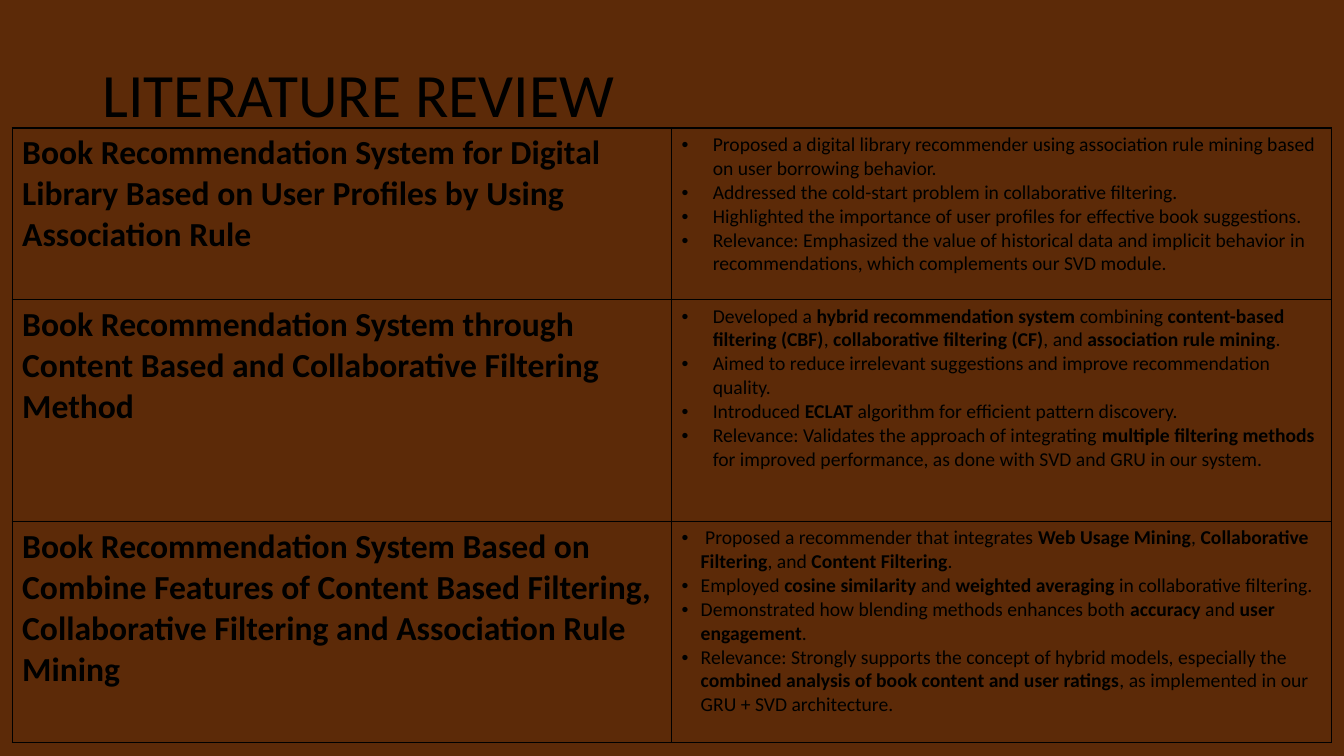
import pptx
import pptx.util
import pptx.dml.color
import pptx.oxml.ns
import lxml.etree

Inches = pptx.util.Inches
Pt = pptx.util.Pt
BROWN = pptx.dml.color.RGBColor(0x5C, 0x2A, 0x08)
BLACK = pptx.dml.color.RGBColor(0, 0, 0)
FONT = "Calibri"

TITLE = "LITERATURE REVIEW"
PAPERS = [
    ("Book Recommendation System for Digital Library Based on User Profiles by Using Association Rule",
     1.7, 0.31, [
         "Proposed a digital library recommender using association rule mining based on user borrowing behavior.",
         "Addressed the cold-start problem in collaborative filtering.",
         "Highlighted the importance of user profiles for effective book suggestions.",
         "Relevance: Emphasized the value of historical data and implicit behavior in recommendations, "
         "which complements our SVD module.",
     ]),
    ("Book Recommendation System through Content Based and Collaborative Filtering Method",
     2.2, 0.31, [
         "Developed a **hybrid recommendation system** combining **content-based filtering (CBF)**, "
         "**collaborative filtering (CF)**, and **association rule mining**.",
         "Aimed to reduce irrelevant suggestions and improve recommendation quality.",
         "Introduced **ECLAT** algorithm for efficient pattern discovery.",
         "Relevance: Validates the approach of integrating **multiple filtering methods** for improved "
         "performance, as done with SVD and GRU in our system.",
     ]),
    ("Book Recommendation System Based on Combine Features of Content Based Filtering, "
     "Collaborative Filtering and Association Rule Mining",
     2.2, 0.19, [
         " Proposed a recommender that integrates **Web Usage Mining**, **Collaborative Filtering**, "
         "and **Content Filtering**.",
         "Employed **cosine similarity** and **weighted averaging** in collaborative filtering.",
         "Demonstrated how blending methods enhances both **accuracy** and **user engagement**.",
         "Relevance: Strongly supports the concept of hybrid models, especially "
         "the **combined analysis of book content and user ratings**, as implemented in our GRU + SVD architecture.",
     ]),
]
COLS = [6.54, 6.55]


def style(para, size, bold=None):
    font = para.font
    font.name, font.size, font.bold = FONT, Pt(size), bold
    font.color.rgb = BLACK


def add(parent, tag, **attrs):
    return lxml.etree.SubElement(parent, pptx.oxml.ns.qn(tag), attrs)


def bullet(para, indent):
    props = para._p.get_or_add_pPr()
    props.set("marL", str(Inches(indent)))
    props.set("indent", str(-Inches(indent)))
    add(props, "a:buFont", typeface="Arial")
    add(props, "a:buChar", char="•")


def write(para, text):
    for i, part in enumerate(text.split("**")):
        if part:
            run = para.add_run()
            run.text = part
            run.font.bold = i % 2 == 1


def frame(cell):
    props = cell._tc.get_or_add_tcPr()
    for side in ("a:lnL", "a:lnR", "a:lnT", "a:lnB"):
        line = add(props, side, w=str(Pt(1)))
        add(add(line, "a:solidFill"), "a:srgbClr", val=str(BLACK))
    cell.fill.background()


def main():
    deck = pptx.Presentation()
    deck.slide_width, deck.slide_height = Inches(13.33), Inches(7.5)
    slide = deck.slides.add_slide(deck.slide_layouts[6])
    slide.background.fill.solid()
    slide.background.fill.fore_color.rgb = BROWN

    box = slide.shapes.add_textbox(Inches(0.92), Inches(0.51), Inches(5.6), Inches(0.84))
    box.text_frame.word_wrap = True
    head = box.text_frame.paragraphs[0]
    head.text = TITLE
    style(head, 44)

    high = sum(paper[1] for paper in PAPERS)
    grid = slide.shapes.add_table(len(PAPERS), len(COLS), Inches(0.12), Inches(1.27),
                                  Inches(sum(COLS)), Inches(high)).table
    grid.first_row = grid.horz_banding = False
    for col, width in zip(grid.columns, COLS):
        col.width = Inches(width)

    for r, (name, height, indent, points) in enumerate(PAPERS):
        grid.rows[r].height = Inches(height)
        left, right = grid.cell(r, 0), grid.cell(r, 1)
        frame(left)
        frame(right)
        left.text = name
        style(left.text_frame.paragraphs[0], 24, True)
        body = right.text_frame
        for i, point in enumerate(points):
            para = body.add_paragraph() if i else body.paragraphs[0]
            bullet(para, indent)
            write(para, point)
            style(para, 14)

    deck.save("out.pptx")


if __name__ == "__main__":
    main()
